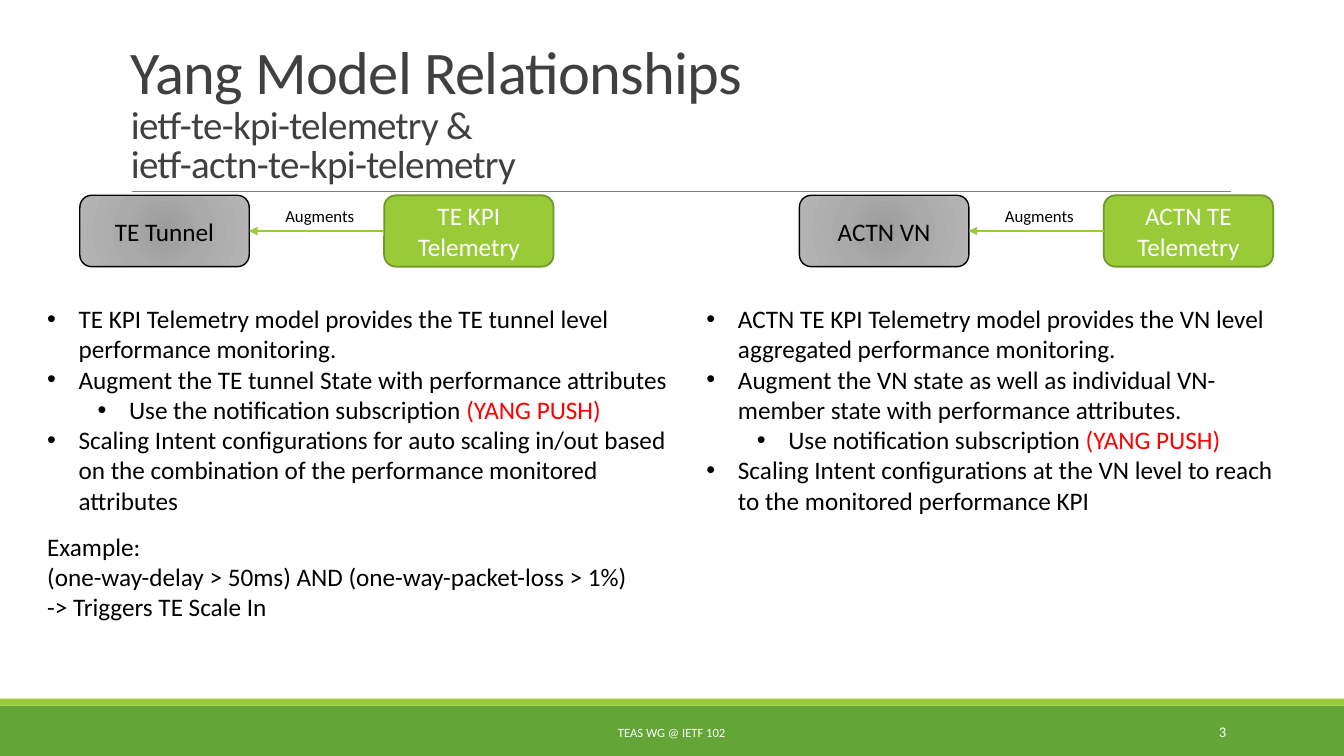
from dataclasses import dataclass

from lxml import etree
from pptx import Presentation
from pptx.dml.color import RGBColor
from pptx.enum.shapes import MSO_CONNECTOR, MSO_SHAPE
from pptx.enum.text import MSO_ANCHOR, PP_ALIGN
from pptx.oxml.ns import qn
from pptx.util import Pt

RECT, ROUNDED = MSO_SHAPE.RECTANGLE, MSO_SHAPE.ROUNDED_RECTANGLE
STRAIGHT = MSO_CONNECTOR.STRAIGHT
TOP, MIDDLE, BOTTOM = MSO_ANCHOR.TOP, MSO_ANCHOR.MIDDLE, MSO_ANCHOR.BOTTOM
LEFT, CENTER, RIGHT = PP_ALIGN.LEFT, PP_ALIGN.CENTER, PP_ALIGN.RIGHT


@dataclass(frozen=True)
class Theme:
    """Colours, font and type sizes of the slide."""
    font: str = "Calibri"
    black: str = "000000"
    white: str = "FFFFFF"
    heading: str = "404040"
    rule: str = "808080"
    lime: str = "99CB38"
    lime_edge: str = "719629"
    green: str = "63A537"
    red: str = "FF0000"
    grays: tuple = ((0, "9C9C9C"), (45, "AAAAAA"), (100, "B4B4B4"))
    title: float = 43.2
    subtitle: float = 27.9
    body: float = 18
    label: float = 12
    number: float = 10.5
    footer: float = 9


THEME = Theme()

BOX_TOP, BOX_WIDTH, BOX_HEIGHT = 139.5, 121, 51
BOX_PITCH = 217.4
NOTE = "(YANG PUSH)"

# Diagram left, text left, text width, base model, augmenting model, (level, text) points
MODELS = [
    (57, 26.6, 459.5, "TE Tunnel", "TE KPI Telemetry", [
        (0, "TE KPI Telemetry model provides the TE tunnel level performance monitoring."),
        (0, "Augment the TE tunnel State with performance attributes"),
        (1, "Use the notification subscription "),
        (0, "Scaling Intent configurations for auto scaling in/out based on the "
            "combination of the performance monitored attributes")]),
    (571, 497.5, 425, "ACTN VN", "ACTN TE Telemetry", [
        (0, "ACTN TE KPI Telemetry model provides the VN level aggregated "
            "performance monitoring."),
        (0, "Augment the VN state as well as individual VN-member state with "
            "performance attributes."),
        (1, "Use notification subscription "),
        (0, "Scaling Intent configurations at the VN level to reach to the "
            "monitored performance KPI")]),
]


def style_span(span, size, color):
    """Set font, size and colour of one run."""
    span.font.name = THEME.font
    span.font.size = Pt(size)
    span.font.color.rgb = RGBColor.from_string(color)


def fill_text(shape, text, size, color, align=LEFT, anchor=TOP):
    """Put text in a shape and format every run."""
    frame = shape.text_frame
    frame.word_wrap = True
    frame.vertical_anchor = anchor
    frame.text = text
    for para in frame.paragraphs:
        para.alignment = align
        for span in para.runs:
            style_span(span, size, color)


def add_text(page, area, *style, **placing):
    """Add a text box at (left, top, width, height)."""
    box = page.shapes.add_textbox(*map(Pt, area))
    fill_text(box, *style, **placing)
    return box


def add_block(page, kind, area, fill, edge=None, weight=1):
    """Add a solid preset shape, with an outline if an edge colour is given."""
    block = page.shapes.add_shape(kind, *map(Pt, area))
    block.shadow.inherit = False
    block.fill.solid()
    block.fill.fore_color.rgb = RGBColor.from_string(fill)
    if edge:
        block.line.color.rgb = RGBColor.from_string(edge)
        block.line.width = Pt(weight)
    else:
        block.line.fill.background()
    return block


def set_radial_fill(shape, stops):
    """Replace the solid fill of a shape by a radial gradient."""
    solid = shape.element.spPr.find(qn("a:solidFill"))
    gradient = etree.Element(qn("a:gradFill"), rotWithShape="1")
    stop_list = etree.SubElement(gradient, qn("a:gsLst"))
    for position, color in stops:
        stop = etree.SubElement(stop_list, qn("a:gs"), pos=str(position * 1000))
        etree.SubElement(stop, qn("a:srgbClr"), val=color)
    circle = etree.SubElement(gradient, qn("a:path"), path="circle")
    etree.SubElement(circle, qn("a:fillToRect"), dict.fromkeys("ltrb", "100000"))
    solid.getparent().replace(solid, gradient)


def add_line(page, start, end, color, weight, arrow=False):
    """Add a straight line, with an arrowhead at its end if asked."""
    line = page.shapes.add_connector(STRAIGHT, *map(Pt, start + end))
    line.line.color.rgb = RGBColor.from_string(color)
    line.line.width = Pt(weight)
    properties = line.element.spPr
    if arrow:
        etree.SubElement(properties.find(qn("a:ln")), qn("a:tailEnd"), type="triangle")
    etree.SubElement(properties, qn("a:effectLst"))


def add_title(page):
    """Add the heading with its two smaller lines."""
    text = "Yang Model Relationships\vietf-te-kpi-telemetry &\vietf-actn-te-kpi-telemetry"
    box = add_text(page, (86.4, 22.5, 792, 114.5), text, THEME.title, THEME.heading,
                   anchor=BOTTOM)
    para = box.text_frame.paragraphs[0]
    para.line_spacing = 0.85
    for span in para.runs[1:]:
        span.font.size = Pt(THEME.subtitle)
    for properties in box.element.iter(qn("a:rPr")):
        properties.set("spc", "-50")


def add_relation(page, left, base, model):
    """Add a base model box and the model that augments it."""
    right = left + BOX_PITCH
    middle = BOX_TOP + BOX_HEIGHT / 2
    base_box = add_block(page, ROUNDED, (left, BOX_TOP, BOX_WIDTH, BOX_HEIGHT),
                         THEME.grays[0][1], THEME.black)
    set_radial_fill(base_box, THEME.grays)
    fill_text(base_box, base, THEME.body, THEME.black, CENTER, MIDDLE)
    model_box = add_block(page, ROUNDED, (right, BOX_TOP, BOX_WIDTH, BOX_HEIGHT),
                          THEME.lime, THEME.lime_edge, 1.25)
    fill_text(model_box, model, THEME.body, THEME.white, CENTER, MIDDLE)
    add_line(page, (right, middle), (left + BOX_WIDTH, middle), THEME.lime, 1, arrow=True)
    add_text(page, (left + 139.7, 143.5, 67.7, 21.8), "Augments", THEME.label, THEME.black)


def add_points(page, area, points):
    """Add a bulleted list; second-level points end with the red note."""
    text = "\n".join(words for _, words in points)
    box = add_text(page, area, text, THEME.body, THEME.black)
    elements = box.element.iter(qn("a:p"))
    for (level, _), para, element in zip(points, box.text_frame.paragraphs, elements):
        para.level = level
        properties = element.get_or_add_pPr()
        properties.set("marL", str(Pt(22.5 + 36 * level)))
        properties.set("indent", str(Pt(-22.5)))
        etree.SubElement(properties, qn("a:buFont"), typeface="Arial")
        etree.SubElement(properties, qn("a:buChar"), char="•")
        if level:
            span = para.add_run()
            span.text = NOTE
            style_span(span, THEME.body, THEME.red)


def add_footer(page):
    """Add the bottom bands, the meeting name and the page number."""
    add_block(page, RECT, (0, 504, 960, 36), THEME.green)
    add_block(page, RECT, (0, 499, 960, 5), THEME.lime)
    add_text(page, (290, 508.5, 379.5, 28.8), "TEAS WG @ IETF 102", THEME.footer,
             THEME.white, CENTER, MIDDLE)
    add_text(page, (780, 508.5, 103, 28.8), "3", THEME.number, THEME.white, RIGHT, MIDDLE)


def main():
    """Build the slide and save it."""
    deck = Presentation()
    deck.slide_width, deck.slide_height = Pt(960), Pt(540)
    page = deck.slides.add_slide(deck.slide_layouts[6])
    add_footer(page)
    add_line(page, (94, 136.8), (879, 136.8), THEME.rule, 0.5)
    add_title(page)
    for left, text_left, width, base, model, points in MODELS:
        add_relation(page, left, base, model)
        add_points(page, (text_left, 213.3, width, 160), points)
    example = ("Example:\n(one-way-delay > 50ms) AND (one-way-packet-loss > 1%)\n"
               "-> Triggers TE Scale In")
    add_text(page, (26.6, 375.8, 480, 72.7), example, THEME.body, THEME.black)
    deck.save("out.pptx")


main()
